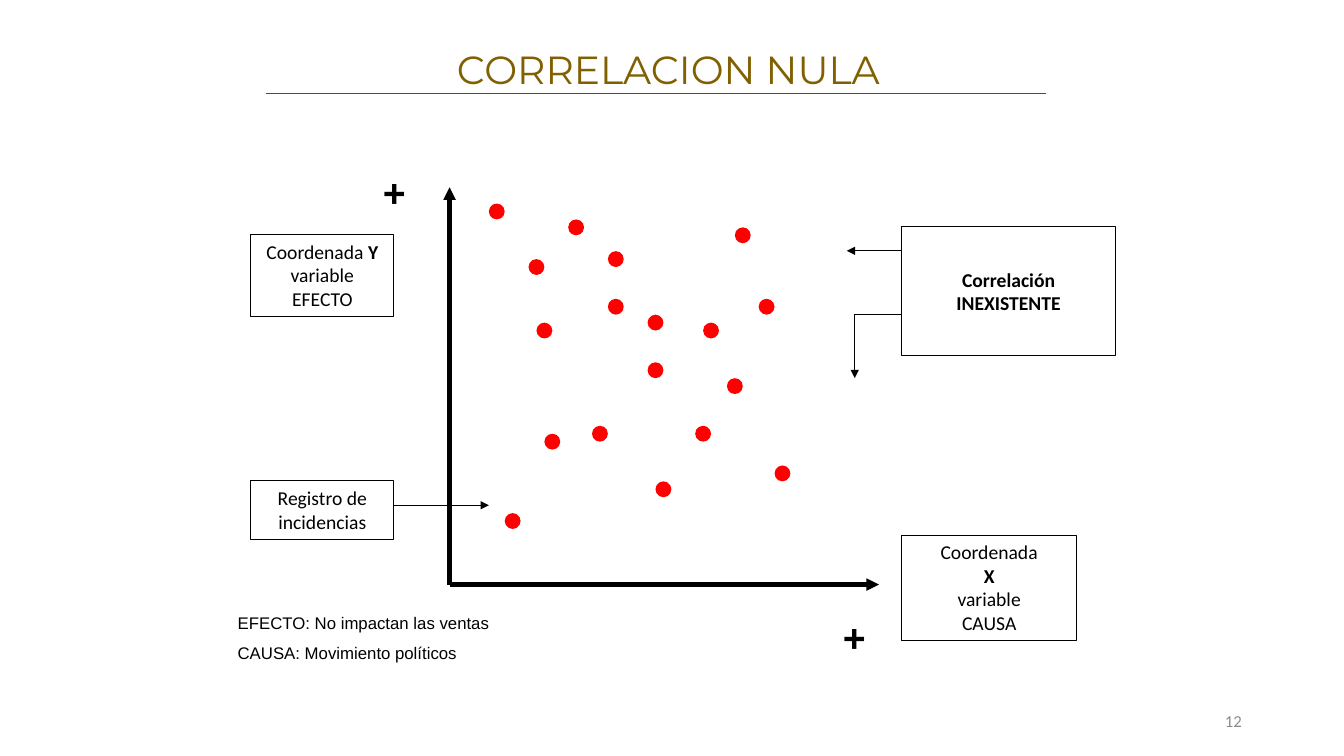
from dataclasses import dataclass

import pptx
import pptx.dml.color
import pptx.enum.shapes
import pptx.enum.text
import pptx.oxml
import pptx.oxml.ns
import pptx.util
from pptx.util import Cm

ALIGN = pptx.enum.text.PP_ALIGN
ANCHOR = pptx.enum.text.MSO_ANCHOR
SHAPE = pptx.enum.shapes.MSO_SHAPE


def rgb(code):
    return pptx.dml.color.RGBColor.from_string(code)


@dataclass(frozen=True)
class Theme:
    ink: object = rgb("000000")
    accent: object = rgb("FF0000")
    heading: object = rgb("806000")
    muted: object = rgb("8C8C8C")
    heading_font: str = "Montserrat"
    label_font: str = "Calibri"
    note_font: str = "Arial"
    large: int = 28
    label: int = 14
    small: int = 12
    axis_width: float = 3
    thin_width: float = 0.75
    rule_width: float = 0.5


THEME = Theme()

# Incidents as (column, row) steps from the top left dot
DOT_STEP = 0.2
DOT_SIZE = 0.4
DOT_ORIGIN = (12.32, 5.13)
INCIDENTS = [
    (0, 0), (10, 2), (31, 3), (15, 6), (5, 7), (15, 12), (34, 12), (20, 14),
    (6, 15), (27, 15), (20, 20), (30, 22), (13, 28), (26, 28), (7, 29),
    (36, 33), (21, 35), (2, 39),
]


def write(frame, lines, font, size, color, align=ALIGN.CENTER, bold=False,
          anchor=ANCHOR.TOP, gap=0):
    """Fill a text frame; each line is a text or a list of (text, bold) runs."""
    frame.word_wrap = True
    frame.auto_size = pptx.enum.text.MSO_AUTO_SIZE.NONE
    frame.vertical_anchor = anchor
    for index, line in enumerate(lines):
        paragraph = frame.paragraphs[0] if index == 0 else frame.add_paragraph()
        paragraph.alignment = align
        paragraph.space_before = pptx.util.Pt(gap if index else 0)
        paragraph.font.name = font
        paragraph.font.size = pptx.util.Pt(size)
        paragraph.font.color.rgb = color
        if isinstance(line, str):
            paragraph.font.bold = bold
            paragraph.add_run().text = line
        else:
            for text, run_bold in line:
                run = paragraph.add_run()
                run.text = text
                run.font.bold = run_bold


def add_title(slide, text, left, top, width, height):
    title = slide.shapes.title
    title.left, title.top = Cm(left), Cm(top)
    title.width, title.height = Cm(width), Cm(height)
    write(title.text_frame, [text], THEME.heading_font, THEME.large,
          THEME.heading, anchor=ANCHOR.MIDDLE)


def add_text(slide, lines, left, top, width, height, font, size,
             color=THEME.ink, **style):
    box = slide.shapes.add_textbox(Cm(left), Cm(top), Cm(width), Cm(height))
    write(box.text_frame, lines, font, size, color, **style)


def add_label(slide, lines, left, top, width, height, **style):
    box = slide.shapes.add_shape(SHAPE.RECTANGLE, Cm(left), Cm(top),
                                 Cm(width), Cm(height))
    box.shadow.inherit = False
    box.fill.background()
    box.line.color.rgb = THEME.ink
    box.line.width = pptx.util.Pt(THEME.thin_width)
    write(box.text_frame, lines, THEME.label_font, THEME.label, THEME.ink, **style)


def add_line(slide, start, end, width=THEME.thin_width, color=THEME.ink, arrow=True):
    line = slide.shapes.add_connector(
        pptx.enum.shapes.MSO_CONNECTOR.STRAIGHT,
        Cm(start[0]), Cm(start[1]), Cm(end[0]), Cm(end[1]))
    line.line.color.rgb = color
    line.line.width = pptx.util.Pt(width)
    if arrow:
        head = pptx.oxml.parse_xml(
            f'<a:tailEnd {pptx.oxml.ns.nsdecls("a")} type="triangle"/>')
        line.line._get_or_add_ln().append(head)
    line._element.spPr.append(
        pptx.oxml.parse_xml(f'<a:effectLst {pptx.oxml.ns.nsdecls("a")}/>'))


def add_incident(slide, column, row):
    dot = slide.shapes.add_shape(
        SHAPE.OVAL, Cm(DOT_ORIGIN[0] + column * DOT_STEP),
        Cm(DOT_ORIGIN[1] + row * DOT_STEP), Cm(DOT_SIZE), Cm(DOT_SIZE))
    dot.shadow.inherit = False
    dot.fill.solid()
    dot.fill.fore_color.rgb = THEME.accent
    dot.line.fill.background()


def main():
    deck = pptx.Presentation()
    deck.slide_width, deck.slide_height = Cm(33.87), Cm(19.05)
    slide = deck.slides.add_slide(deck.slide_layouts[5])

    # Heading and rule
    add_title(slide, "CORRELACION NULA", 5.54, 1.02, 22.6, 1.45)
    add_line(slide, (6.71, 2.36), (26.37, 2.36), THEME.rule_width,
             THEME.accent, arrow=False)

    # Axes with their plus signs
    origin = (11.33, 14.73)
    for end in [(22.15, origin[1]), (origin[0], 4.72)]:
        add_line(slide, origin, end, THEME.axis_width)
    for left, top in [(9.14, 4.11), (20.73, 15.32)]:
        add_text(slide, ["+"], left, top, 1.6, 1.45, THEME.note_font,
                 THEME.large, bold=True)

    # Scattered incidents
    for column, row in INCIDENTS:
        add_incident(slide, column, row)

    # Labels
    left_edge, right_edge = 6.32, 22.73
    add_label(slide, [[("Coordenada ", False), ("Y", True)], "variable", "EFECTO"],
              left_edge, 5.92, 3.61, 2.06)
    add_label(slide, ["Registro de incidencias"], left_edge, 12.12, 3.61, 1.47)
    add_label(slide, ["Correlación INEXISTENTE"], right_edge, 5.72, 5.38, 3.23,
              bold=True, anchor=ANCHOR.MIDDLE)
    add_label(slide, ["Coordenada", [("X", True)], "variable", "CAUSA"],
              right_edge, 13.49, 4.4, 2.64)

    # Pointers from the labels to the cloud
    elbow = (21.54, 7.92)
    add_line(slide, (9.93, 12.73), (12.32, 12.73))
    add_line(slide, (right_edge, 6.32), (21.34, 6.32))
    add_line(slide, (right_edge, elbow[1]), elbow, arrow=False)
    add_line(slide, elbow, (elbow[0], 9.53))

    # Explanation and slide number
    add_text(slide, ["EFECTO: No impactan las ventas", "CAUSA: Movimiento políticos"],
             5.74, 15.32, 14.4, 1.52, THEME.note_font, THEME.small,
             align=ALIGN.LEFT, gap=7)
    add_text(slide, ["12"], 23.93, 17.65, 7.62, 1.02, THEME.label_font, THEME.small,
             THEME.muted, align=ALIGN.RIGHT, anchor=ANCHOR.MIDDLE)

    deck.save("out.pptx")


if __name__ == "__main__":
    main()
